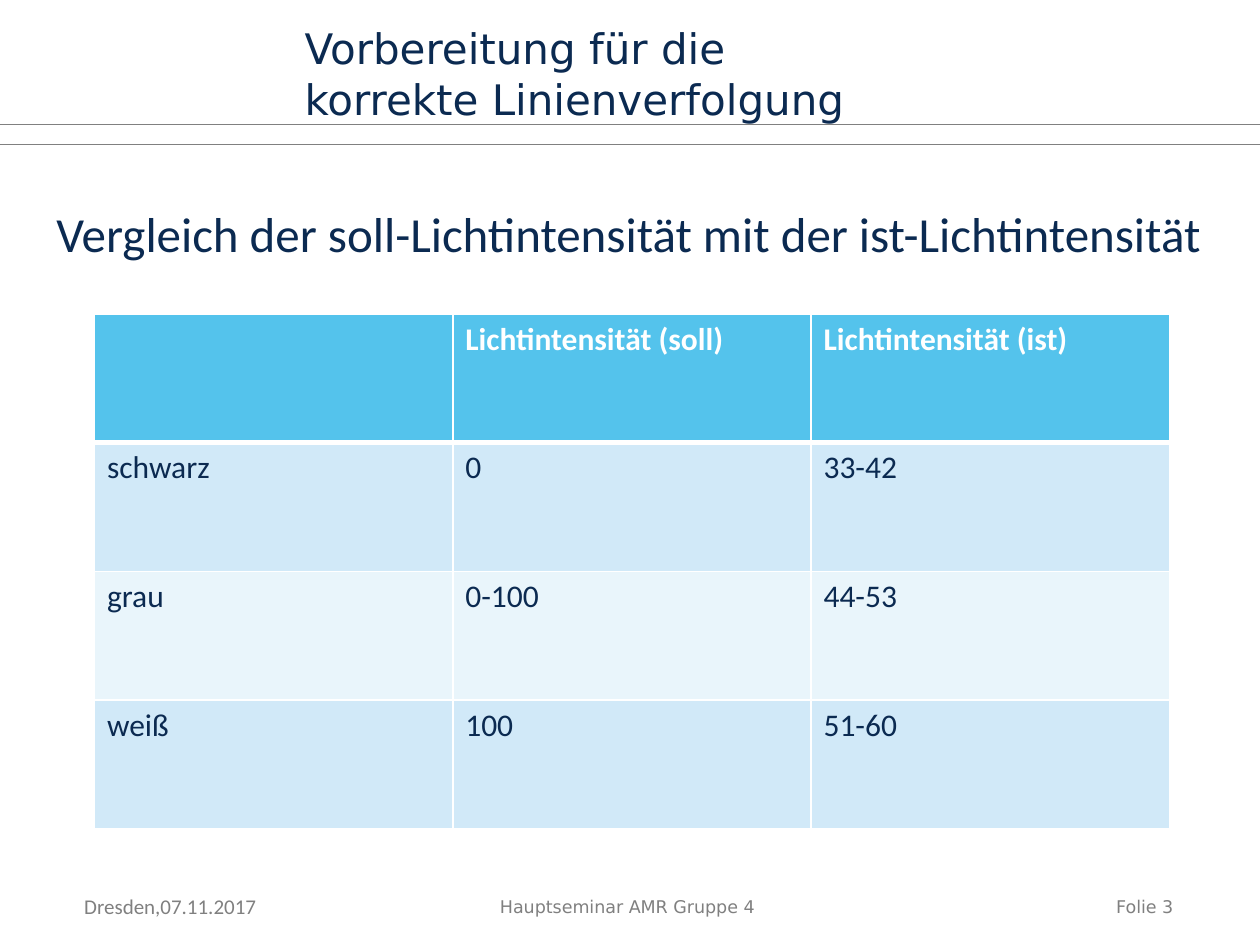
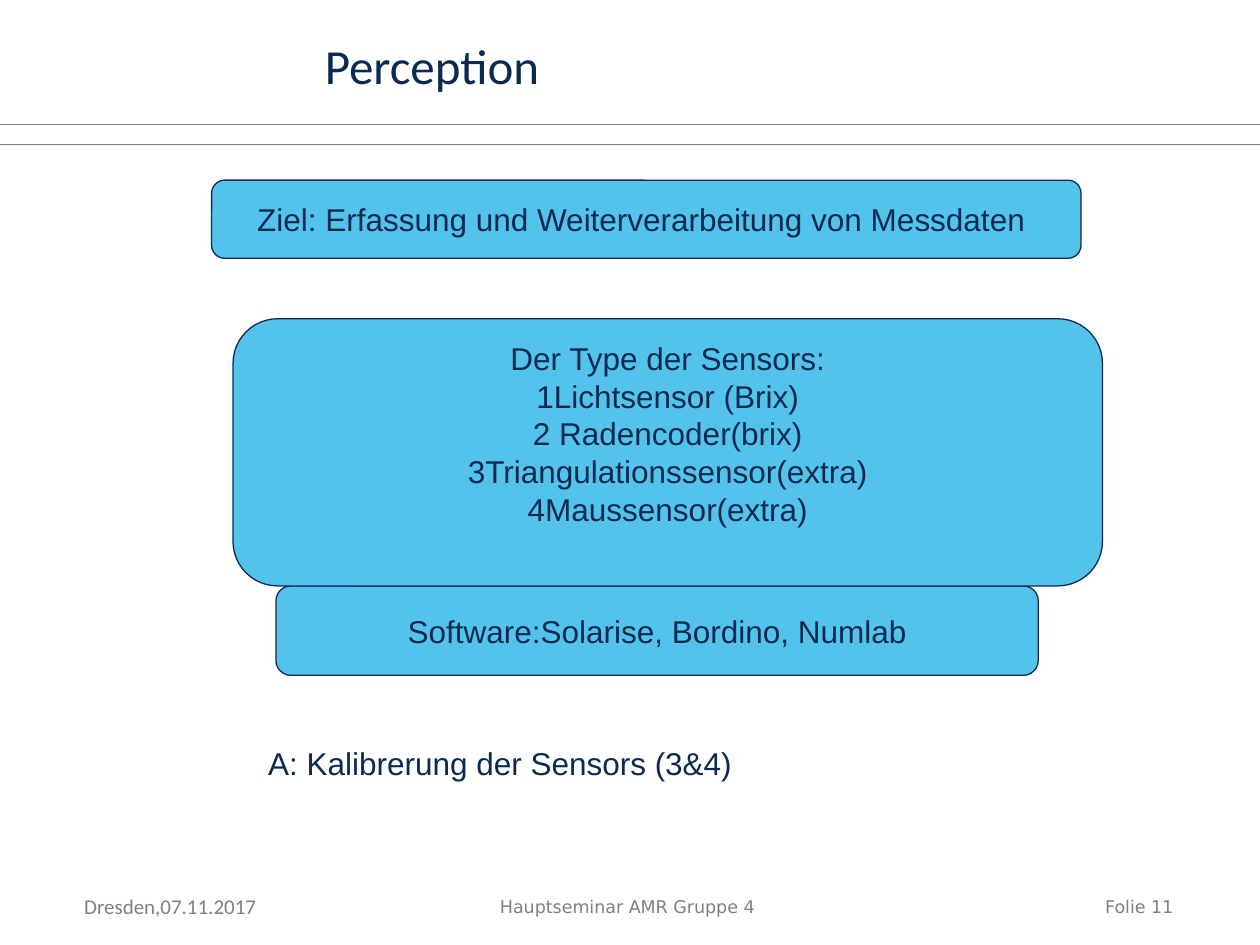
"""Build two seminar slides on light intensity and perception."""
from lxml.etree import SubElement
from pptx import Presentation
from pptx.dml.color import RGBColor
from pptx.enum.shapes import MSO_CONNECTOR, MSO_SHAPE
from pptx.enum.text import MSO_ANCHOR as ANCHOR, PP_ALIGN as ALIGN
from pptx.oxml import parse_xml
from pptx.oxml.ns import nsdecls, qn
from pptx.util import Inches, Pt

NAVY = RGBColor(0x0B, 0x2A, 0x51)
SKY = RGBColor(0x54, 0xC3, 0xEC)
PALE = RGBColor(0xD1, 0xE9, 0xF8)
PALER = RGBColor(0xE9, 0xF5, 0xFB)
GRAY = RGBColor(0x80, 0x80, 0x80)
WHITE = RGBColor(0xFF, 0xFF, 0xFF)

FOOTER_FONT = {"name": "DejaVu Sans", "size": Pt(10), "color": GRAY}
DATE_FONT = {"name": "Calibri", "size": Pt(12), "color": GRAY}
TITLE_FONT = {"name": "DejaVu Sans", "size": Pt(24), "color": NAVY}
HEADING_FONT = {"name": "Calibri", "size": Pt(28), "color": NAVY}
BODY_FONT = {"name": "Arial", "size": Pt(18), "color": NAVY}
HEADER_CELL_FONT = {"name": "Calibri", "size": Pt(18), "color": WHITE, "bold": True}
CELL_FONT = {**HEADER_CELL_FONT, "color": NAVY, "bold": False}


def write_text(frame, text, font_format, align=ALIGN.LEFT, **frame_format):
    for name, value in frame_format.items():
        setattr(frame, name, value)
    frame.text = text
    for paragraph in frame.paragraphs:
        paragraph.alignment = align
        for name, value in font_format.items():
            if name == "color":
                paragraph.font.color.rgb = value
            else:
                setattr(paragraph.font, name, value)


def add_text(slide, box, text, font_format, align=ALIGN.LEFT, **frame_format):
    shape = slide.shapes.add_textbox(*map(Inches, box))
    write_text(shape.text_frame, text, font_format, align, **{"word_wrap": True, **frame_format})


presentation = Presentation()
presentation.slide_width = Inches(10)
presentation.slide_height = Inches(7.5)

slides = []
for number in (3, 11):
    slide = presentation.slides.add_slide(presentation.slide_layouts[6])
    slides.append(slide)
    for y in (0.99, 1.15):
        rule = slide.shapes.add_connector(
            MSO_CONNECTOR.STRAIGHT, 0, Inches(y), Inches(10), Inches(y))
        rule.line.color.rgb = GRAY
        rule.line.width = Pt(0.5)
        SubElement(rule._element.spPr, qn("a:effectLst"))
    add_text(slide, (7.52, 7.06, 1.89, 0.27), f"Folie {number}", FOOTER_FONT, ALIGN.RIGHT)
    add_text(slide, (3.87, 7.06, 2.26, 0.27), "Hauptseminar AMR Gruppe 4", FOOTER_FONT,
             word_wrap=False, vertical_anchor=ANCHOR.MIDDLE)
    add_text(slide, (0.57, 7.04, 1.58, 0.3), "Dresden,07.11.2017", DATE_FONT, word_wrap=False)

intensity_slide, perception_slide = slides

add_text(intensity_slide, (2.32, 0.13, 4.96, 0.9), "Vorbereitung für die korrekte Linienverfolgung",
         TITLE_FONT, vertical_anchor=ANCHOR.MIDDLE)

intensities = [
    ("", "Lichtintensität (soll)", "Lichtintensität (ist)"),
    ("schwarz", "0", "33-42"),
    ("grau", "0-100", "44-53"),
    ("weiß", "100", "51-60"),
]
table = intensity_slide.shapes.add_table(
    4, 3, Inches(0.75), Inches(2.49), Inches(8.53), Inches(4.09)).table
for row, values in enumerate(intensities):
    for column, value in enumerate(values):
        cell = table.cell(row, column)
        write_text(cell.text_frame, value, CELL_FONT if row else HEADER_CELL_FONT)
        cell.fill.solid()
        cell.fill.fore_color.rgb = (SKY, PALE, PALER, PALE)[row]
        properties = cell._tc.get_or_add_tcPr()
        for position, side in enumerate("LRTB"):
            thick = (row, side) in ((0, "B"), (1, "T"))
            properties.insert(position, parse_xml(
                f'<a:ln{side} {nsdecls("a")} w="{Pt(3 if thick else 1)}">'
                f'<a:solidFill><a:srgbClr val="{WHITE}"/></a:solidFill></a:ln{side}>'))

add_text(intensity_slide, (0.35, 1.57, 9.4, 0.57),
         "Vergleich der soll-Lichtintensität mit der ist-Lichtintensität",
         HEADING_FONT, word_wrap=False)

sensors = "\n".join([
    "Der Type der Sensors:",
    "1Lichtsensor (Brix)",
    "2 Radencoder(brix)",
    "3Triangulationssensor(extra)",
    "4Maussensor(extra)",
])
panels = [
    ((1.68, 1.43, 6.9, 0.62), "Ziel: Erfassung und Weiterverarbeitung von Messdaten",
     {"margin_right": Inches(0.18)}),
    ((2.19, 4.65, 6.05, 0.71), "Software:Solarise, Bordino, Numlab", {}),
    ((1.85, 2.53, 6.9, 2.12), sensors, {"margin_bottom": Inches(0.35)}),
]
for box, text, margins in panels:
    panel = perception_slide.shapes.add_shape(MSO_SHAPE.ROUNDED_RECTANGLE, *map(Inches, box))
    panel.shadow.inherit = False
    panel.fill.solid()
    panel.fill.fore_color.rgb = SKY
    panel.line.color.rgb = NAVY
    panel.line.width = Pt(0.75)
    write_text(panel.text_frame, text, BODY_FONT, ALIGN.CENTER,
               vertical_anchor=ANCHOR.MIDDLE, word_wrap=True, **margins)

add_text(perception_slide, (2.48, 0.23, 6.57, 0.57), "Perception", HEADING_FONT)
add_text(perception_slide, (2.03, 5.86, 5.77, 0.4), "A: Kalibrerung der Sensors (3&4)", BODY_FONT)

presentation.save("out.pptx")
